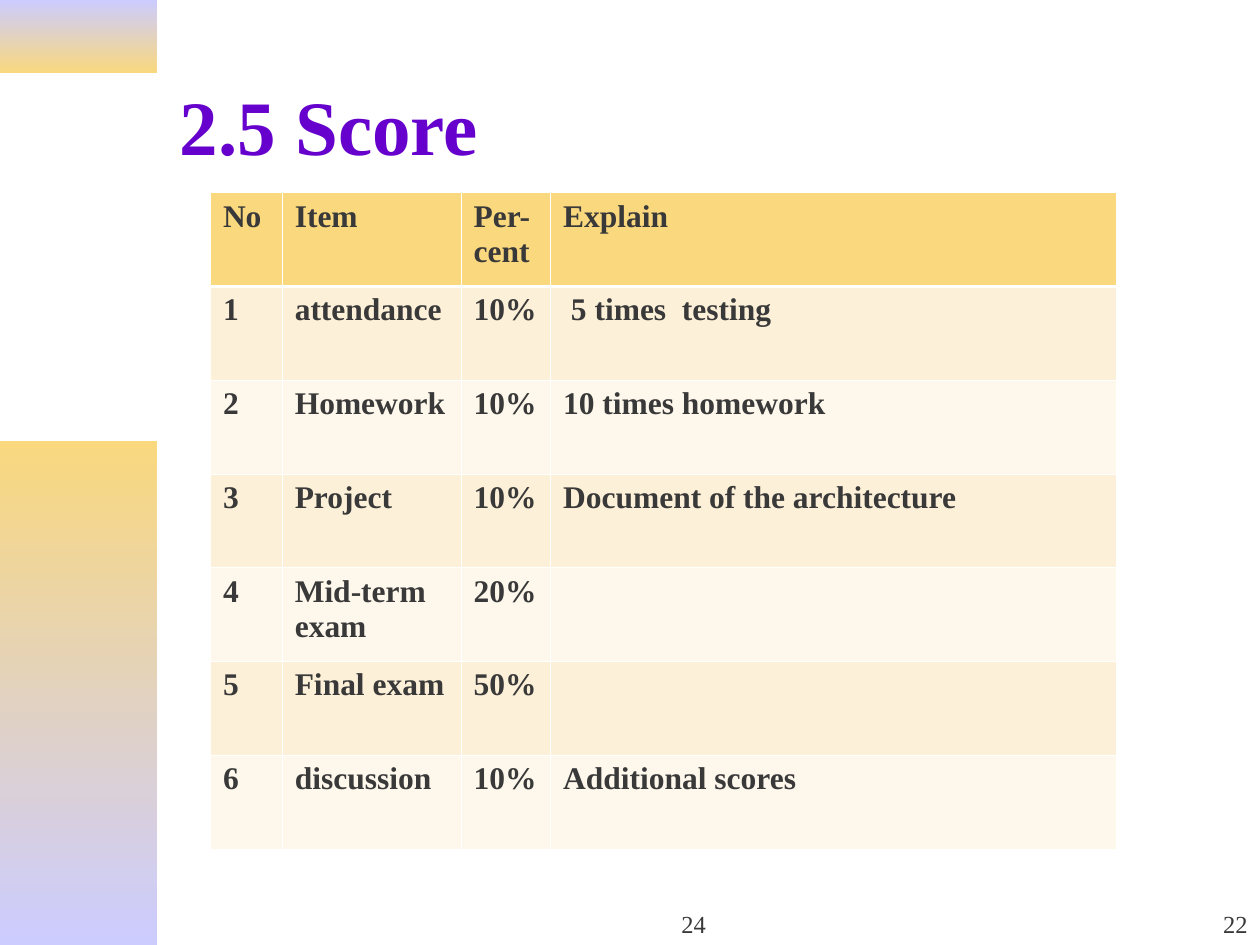
from lxml import etree
from pptx import Presentation
from pptx import util as u
from pptx.dml.color import RGBColor
from pptx.enum import shapes, text
from pptx.oxml.ns import qn

# Content
TITLE = "2.5 Score"
SCORES = [
    ("No", "Item", "Per-cent", "Explain"),
    ("1", "attendance", "10%", " 5 times  testing"),
    ("2", "Homework", "10%", "10 times homework"),
    ("3", "Project", "10%", "Document of the architecture"),
    ("4", "Mid-term exam", "20%", ""),
    ("5", "Final exam", "50%", ""),
    ("6", "discussion", "10%", "Additional scores"),
]
COLUMN_WIDTHS = (0.57, 1.42, 0.71, 4.49)
TABLE_LEFT, TABLE_TOP, TABLE_HEIGHT = 1.67, 1.53, 5.21

THEME = {
    "font": "Times New Roman",
    "title": "6600CC", "text": "393939", "border": "FFFFFF",
    "gold": "F9D87E", "lavender": "CCCCFF",
    "bands": ("FEF8EC", "FDF0D8"),
    "title_size": 44, "table_size": 18, "footer_size": 14,
    "thin": 0.45, "thick": 1.47,
}

# Left, top, width, height, top colour, bottom colour
SIDE_BARS = [
    (0, 0, 1.25, 0.58, "lavender", "gold"),
    (0, 3.5, 1.25, 4, "gold", "lavender"),
]
# Text, left, width, alignment
FOOTERS = [
    ("24", 3.92, 3.17, text.PP_ALIGN.CENTER),
    ("22", 7.92, 2.08, text.PP_ALIGN.RIGHT),
]


def color(value):
    return RGBColor.from_string(value)


def style(paragraph, size, fill, bold=False):
    font = paragraph.font
    font.name, font.size, font.bold = THEME["font"], u.Pt(size), bold
    font.color.rgb = color(fill)


def add_text(slide, content, box, anchor, align, size, fill, bold=False):
    frame = slide.shapes.add_textbox(*map(u.Inches, box)).text_frame
    frame.word_wrap = True
    frame.vertical_anchor = anchor
    paragraph = frame.paragraphs[0]
    paragraph.text, paragraph.alignment = content, align
    style(paragraph, size, fill, bold)


def add_side_bar(slide, left, top, width, height, start, end):
    box = map(u.Inches, (left, top, width, height))
    bar = slide.shapes.add_shape(shapes.MSO_SHAPE.RECTANGLE, *box)
    bar.shadow.inherit = False
    bar.line.fill.background()
    bar.fill.gradient()
    bar.fill.gradient_angle = 270
    for stop, position, name in zip(bar.fill.gradient_stops, (0, 1), (start, end)):
        stop.position = position
        stop.color.rgb = color(THEME[name])


def add_borders(cell, row):
    thin, thick = THEME["thin"], THEME["thick"]
    widths = {
        "a:lnL": thin, "a:lnR": thin,
        "a:lnT": thick if row == 1 else thin,
        "a:lnB": thick if row == 0 else thin,
    }
    properties = cell._tc.get_or_add_tcPr()
    for index, (tag, width) in enumerate(widths.items()):
        line = etree.Element(qn(tag), w=str(u.Pt(width)))
        fill = etree.SubElement(line, qn("a:solidFill"))
        etree.SubElement(fill, qn("a:srgbClr"), val=THEME["border"])
        properties.insert(index, line)


def add_score_table(slide):
    box = (TABLE_LEFT, TABLE_TOP, sum(COLUMN_WIDTHS), TABLE_HEIGHT)
    table = slide.shapes.add_table(
        len(SCORES), len(COLUMN_WIDTHS), *map(u.Inches, box)).table
    for column, width in zip(table.columns, COLUMN_WIDTHS):
        column.width = u.Inches(width)
    for row, values in enumerate(SCORES):
        fill = THEME["bands"][row % 2] if row else THEME["gold"]
        for column, value in enumerate(values):
            cell = table.cell(row, column)
            cell.text = value
            cell.fill.solid()
            cell.fill.fore_color.rgb = color(fill)
            style(cell.text_frame.paragraphs[0],
                  THEME["table_size"], THEME["text"], True)
            add_borders(cell, row)


def main():
    presentation = Presentation()
    presentation.slide_width, presentation.slide_height = u.Inches(10), u.Inches(7.5)
    slide = presentation.slides.add_slide(presentation.slide_layouts[6])

    # Side decoration
    for bar in SIDE_BARS:
        add_side_bar(slide, *bar)

    # Title and table
    add_text(slide, TITLE, (1.33, 0.33, 8.5, 1.32), text.MSO_ANCHOR.MIDDLE,
             text.PP_ALIGN.LEFT, THEME["title_size"], THEME["title"], True)
    add_score_table(slide)

    # Page numbers
    for content, left, width, align in FOOTERS:
        add_text(slide, content, (left, 7, width, 0.5), text.MSO_ANCHOR.BOTTOM,
                 align, THEME["footer_size"], THEME["text"])

    presentation.save("out.pptx")


if __name__ == "__main__":
    main()
